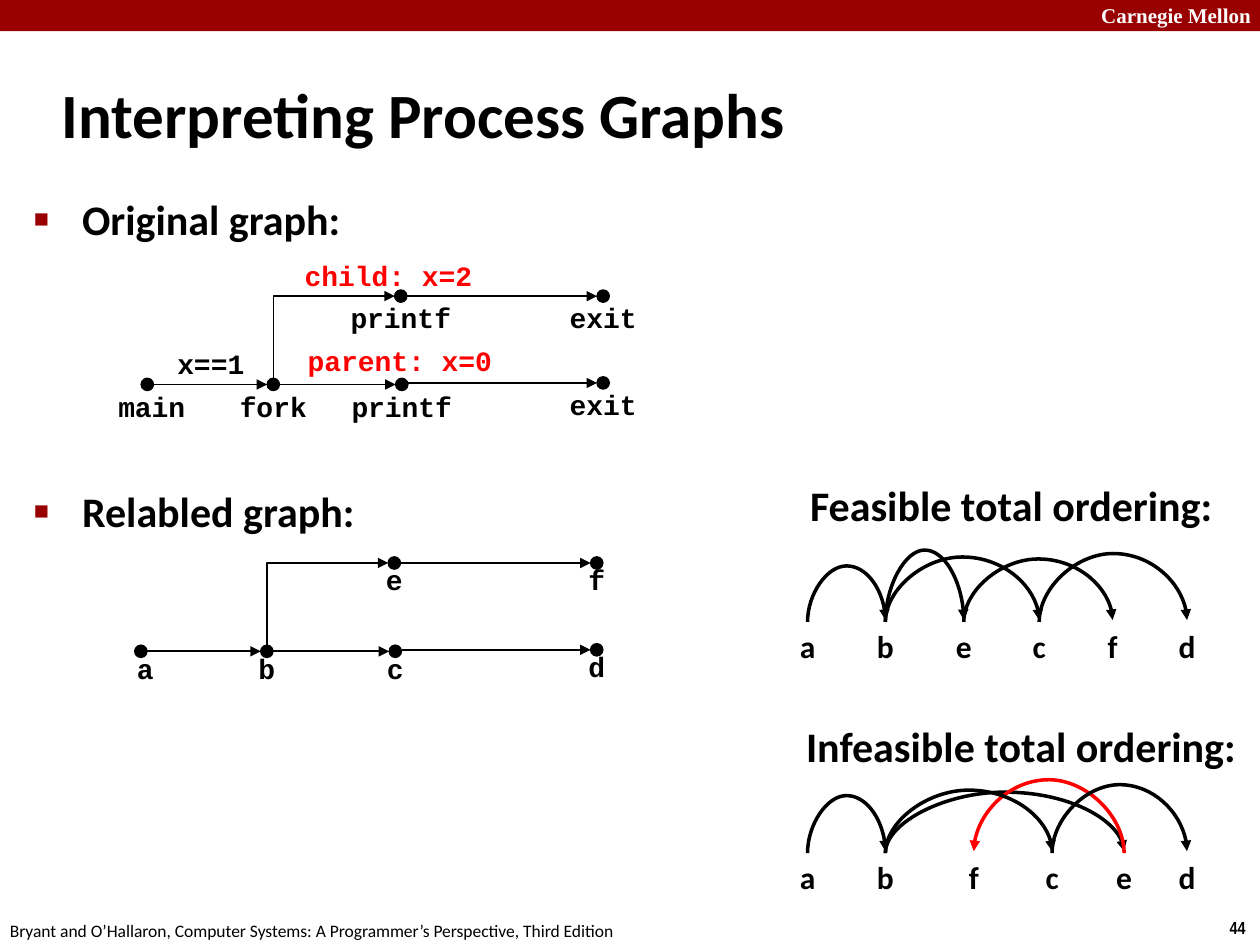
from lxml.etree import SubElement
from pptx import Presentation
from pptx.dml.color import RGBColor
from pptx.enum.shapes import MSO_CONNECTOR as Link, MSO_SHAPE as Shape
from pptx.enum.text import MSO_ANCHOR as Anchor, MSO_AUTO_SIZE as Fit, PP_ALIGN as Align
from pptx.oxml.ns import qn
from pptx.util import Cm, Pt

BLACK, RED, DARK, WHITE = "000000", "FF0000", "990000", "FFFFFF"
SANS, MONO = "Calibri", "Courier New"
DOT = 0.25   # diameter of a graph node
THIN = 0.04  # height difference between the two ends of an arc


def paint(target, tone):
    target.solid()
    target.fore_color.rgb = RGBColor.from_string(tone)


def style(para, size, face=SANS, tone=BLACK, bold=True):
    font = para.font
    font.size, font.name, font.bold = Pt(size), face, bold
    paint(font.fill, tone)


def word(slide, text, x, y, w, h, size, align=Align.LEFT, wrap=True, **look):
    frame = slide.shapes.add_textbox(Cm(x), Cm(y), Cm(w), Cm(h)).text_frame
    frame.word_wrap = wrap
    para = frame.paragraphs[0]
    para.text, para.alignment = text, align
    style(para, size, **look)


def tag(slide, text, x, y, w=2.64, tone=BLACK):
    """Centre a code label on x."""
    word(slide, text, x - w / 2, y, w, 0.94, 16, Align.CENTER, face=MONO, tone=tone)


def arrow(slide, kind, x1, y1, x2, y2, width=1, tone=BLACK):
    line = slide.shapes.add_connector(kind, Cm(x1), Cm(y1), Cm(x2), Cm(y2))
    line.line.width = Pt(width)
    paint(line.line.fill, tone)
    props = line._element.spPr
    SubElement(props.find(qn("a:ln")), qn("a:tailEnd"), type="triangle")
    SubElement(props, qn("a:effectLst"))
    return props


def rise(slide, kind, preset, x1, y1, x2, y2, bulge=None, **look):
    """Draw a connector that leaves its start upwards, by a quarter turn."""
    w, h = y1 - y2, abs(x2 - x1)
    left, top = (x1 + x2 - w) / 2, (y1 + y2 - h) / 2
    props = arrow(slide, kind, left, top, left + w, top + h, **look)
    frame = props.find(qn("a:xfrm"))
    right = x2 > x1
    frame.set("rot", str((90 if right else 270) * 60000))
    frame.set("flipH", "1" if right else "0")
    frame.set("flipV", "1")
    geom = props.find(qn("a:prstGeom"))
    geom.set("prst", preset)
    if bulge:
        guides = geom.find(qn("a:avLst"))
        if guides is None:
            guides = SubElement(geom, qn("a:avLst"))
        SubElement(guides, qn("a:gd"), name="adj1", fmla=f"val {round(bulge / w * 100000)}")


def banner(slide, x, y, w, h):
    bar = slide.shapes.add_shape(Shape.RECTANGLE, Cm(x), Cm(y), Cm(w), Cm(h))
    bar.shadow.inherit = False
    paint(bar.fill, DARK)
    bar.line.fill.background()
    word(slide, "Carnegie Mellon", x + w - 3.45, y - 0.08, 3.63, 0.76, 12,
         face="Times New Roman", tone=WHITE)


def footer(slide, x, y, w, h):
    word(slide, "Bryant and O’Hallaron, Computer Systems: "
         "A Programmer’s Perspective, Third Edition", x - 0.05, y, 13.5, h, 10, bold=False)
    word(slide, "44", x + w - 0.86, y - 0.05, 0.86, h, 10, wrap=False, face="Arial Narrow")


def place(holder, x, y, w, h, anchor):
    holder.left, holder.top, holder.width, holder.height = Cm(x), Cm(y), Cm(w), Cm(h)
    frame = holder.text_frame
    frame.auto_size, frame.vertical_anchor = Fit.NONE, anchor
    return frame


def title(slide, text, *box):
    frame = place(slide.shapes.title, *box, Anchor.MIDDLE)
    para = frame.paragraphs[0]
    para.text, para.alignment = text, Align.LEFT
    style(para, 36)


def heads(slide, items, gap, *box):
    frame = place(slide.placeholders[1], *box, Anchor.TOP)
    for i, text in enumerate(items):
        para = frame.add_paragraph() if i else frame.paragraphs[0]
        para.text = text
        props = para._p.get_or_add_pPr()
        props.set("marL", str(Cm(0.97)))
        props.set("indent", str(-Cm(0.97)))
        SubElement(SubElement(props, qn("a:buClr")), qn("a:srgbClr"), val=DARK)
        SubElement(props, qn("a:buSzPct"), val="60000")
        SubElement(props, qn("a:buChar"), char="■")
        para.space_before = Pt(gap if i else 0)
        style(para, 24)


def graph(slide, x, y, names, drop):
    """Draw a fork graph; names run along the parent row, then the child row."""
    low = 1.78
    spots = [(0, low), (2.54, low), (5.13, low), (9.19, low - 0.03), (5.11, 0), (9.19, 0)]
    nodes = [(x + dx, y + dy) for dx, dy in spots]
    r = DOT / 2
    for a, b in ((0, 1), (1, 2), (2, 3), (4, 5)):
        (x1, _), (x2, y2) = nodes[a], nodes[b]
        arrow(slide, Link.STRAIGHT, x1 + r, y2, x2 - r, y2)
    (x1, y1), (x2, y2) = nodes[1], nodes[4]
    rise(slide, Link.ELBOW, "bentConnector2", x1, y1, x2 - r, y2)
    for i, (name, (cx, cy)) in enumerate(zip(names, nodes)):
        dot = slide.shapes.add_shape(Shape.OVAL, Cm(cx - r), Cm(cy - r), Cm(DOT), Cm(DOT))
        dot.shadow.inherit = False
        paint(dot.fill, BLACK)
        paint(dot.line.fill, BLACK)
        dot.line.width = Pt(0.75)
        tag(slide, name, cx + (0 if i else 0.09), cy + drop)


def notes(slide, x, y):
    tag(slide, "child: x=2", x + 4.86, y - 0.89, 5.1, RED)
    tag(slide, "x==1", x + 1.28, y + 0.89, 2.2)
    tag(slide, "parent: x=0", x + 5.09, y + 0.84, 5.1, RED)


def order(slide, x, y, head, shift, stops, arcs):
    """Draw letters in a row, with arcs given as ends, height and colour."""
    for name, dx in stops.items():
        word(slide, name, x + dx - 0.43, y, 0.86, 1.02, 18, Align.CENTER)
    for (a, b), tall, tone in arcs:
        rise(slide, Link.CURVE, "curvedConnector3", x + stops[a], y + THIN / 2,
             x + stops[b], y - THIN / 2, tall, width=2, tone=tone)
    dx, dy = shift
    word(slide, head, x + dx, y + dy, 9.32, 1.27, 24)


def main():
    deck = Presentation()
    deck.slide_width, deck.slide_height = Cm(25.4), Cm(19.05)
    slide = deck.slides.add_slide(deck.slide_layouts[1])
    banner(slide, 0, 0, 25.4, 0.63)
    footer(slide, 0, 18.42, 25.4, 0.68)
    title(slide, "Interpreting Process Graphs", 0.99, 1.22, 21.08, 2.11)
    heads(slide, ["Original graph:", "Relabled graph:"], 138, 0.43, 3.78, 13.06, 10.82)
    graph(slide, 2.97, 5.97, ["main", "fork", "printf", "exit", "printf", "exit"], -0.03)
    notes(slide, 2.97, 5.97)
    graph(slide, 2.84, 11.35, "abcdef", -0.13)
    order(slide, 16.28, 12.52, "Feasible total ordering:", (-0.2, -2.97),
          {"a": 0, "b": 1.57, "e": 3.15, "c": 4.67, "f": 6.15, "d": 7.65},
          [("ab", 1.13, BLACK), ("be", 1.45, BLACK), ("ef", 1.27, BLACK),
           ("bc", 1.31, BLACK), ("cd", 1.38, BLACK)])
    order(slide, 16.28, 17.18, "Infeasible total ordering:", (-0.28, -2.78),
          {"a": 0, "b": 1.57, "f": 3.35, "c": 4.93, "e": 6.38, "d": 7.65},
          [("ab", 1.16, BLACK), ("be", 1.23, BLACK), ("ef", 1.48, RED),
           ("bc", 1.27, BLACK), ("cd", 1.38, BLACK)])
    deck.save("out.pptx")


if __name__ == "__main__":
    main()
